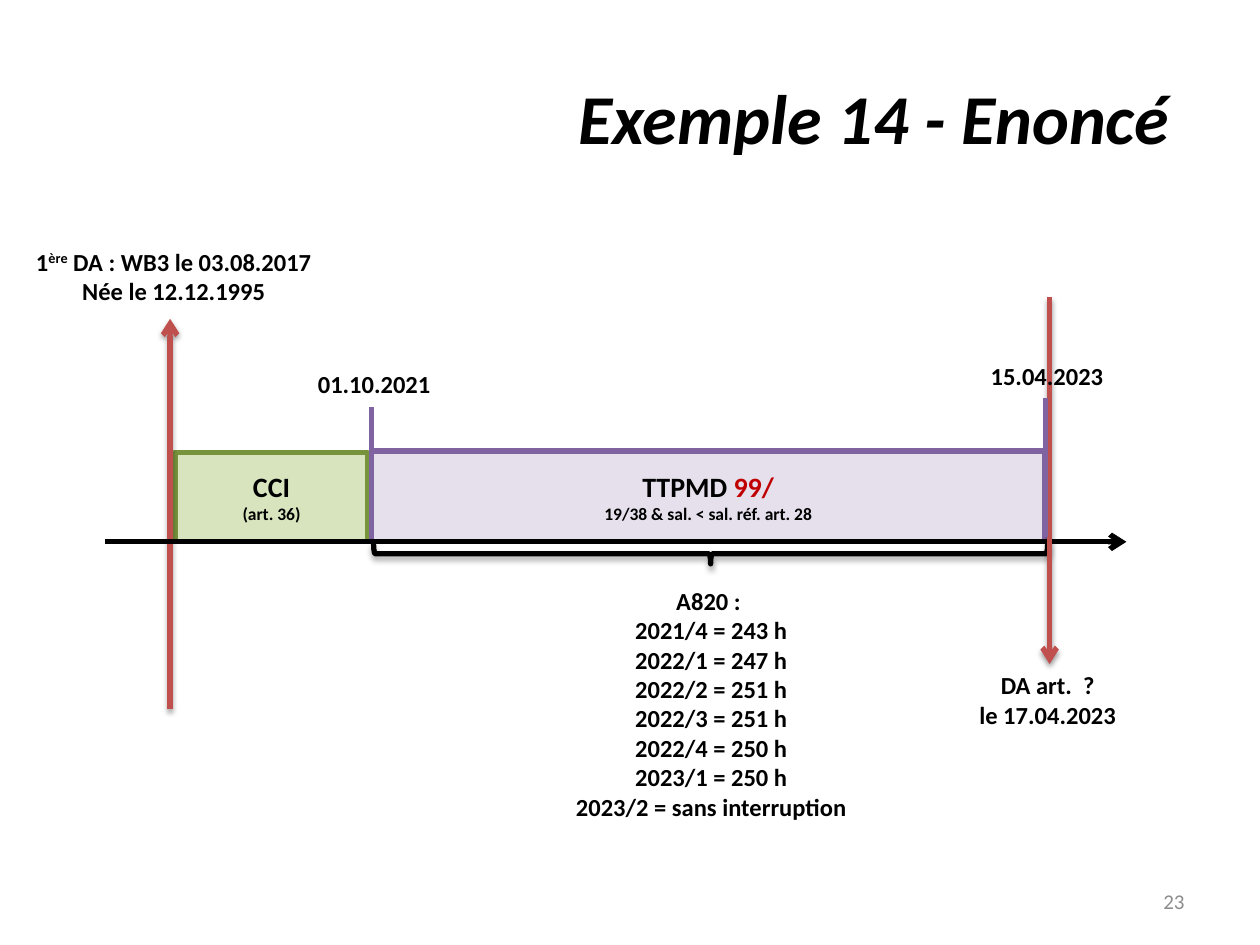
from lxml import etree
from pptx import Presentation
from pptx import util as u
from pptx.dml.color import RGBColor
from pptx.enum import shapes, text
from pptx.oxml import ns

BLACK = RGBColor(0x00, 0x00, 0x00)
GRAY = RGBColor(0x8C, 0x8C, 0x8C)
RED = RGBColor(0xC0, 0x00, 0x00)
BRICK = RGBColor(0xC0, 0x50, 0x4D)
PURPLE = RGBColor(0x80, 0x64, 0xA2)
LILAC = RGBColor(0xE6, 0xE0, 0xEC)
GREEN = RGBColor(0x77, 0x93, 0x3C)
PALE_GREEN = RGBColor(0xD7, 0xE4, 0xBD)

deck = Presentation()
deck.slide_width, deck.slide_height = u.Inches(10), u.Inches(7.5)
page = deck.slides.add_slide(deck.slide_layouts[6])


def write(box, lines, size=14, color=BLACK, bold=True, italic=False,
          align=text.PP_ALIGN.CENTER, anchor=text.MSO_ANCHOR.TOP):
    """Each line is a list of (words, overrides) spans."""
    frame = box.text_frame
    frame.word_wrap = True
    frame.vertical_anchor = anchor
    for number, spans in enumerate(lines):
        para = frame.add_paragraph() if number else frame.paragraphs[0]
        para.alignment = align
        for words, changes in spans:
            span = para.add_run()
            span.text = words
            span.font.name = "Calibri"
            span.font.size = u.Pt(changes.get("size", size))
            span.font.bold, span.font.italic = bold, italic
            span.font.color.rgb = changes.get("color", color)
            if "raised" in changes:
                span.font._element.set("baseline", changes["raised"])


def set_effects(shape, opacity=0, distance=0):
    """Replace the theme shadow with a soft one below, or with none."""
    properties = shape._element.spPr
    effects = etree.SubElement(properties, ns.qn("a:effectLst"))
    if opacity:
        shadow = etree.SubElement(
            effects, ns.qn("a:outerShdw"), blurRad=str(u.Pt(3.1)),
            dist=str(u.Pt(distance)), dir="5400000", rotWithShape="0")
        tint = etree.SubElement(shadow, ns.qn("a:srgbClr"), val=str(BLACK))
        etree.SubElement(tint, ns.qn("a:alpha"), val=str(opacity * 1000))


# Title and page number
title = page.shapes.add_textbox(u.Inches(0.5), u.Inches(0.3), u.Inches(9), u.Inches(1.25))
write(title, [[("Exemple 14 - Enoncé ", {})]], size=40, italic=True,
      align=text.PP_ALIGN.RIGHT, anchor=text.MSO_ANCHOR.MIDDLE)
page_number = page.shapes.add_textbox(u.Inches(7.17), u.Inches(6.95), u.Inches(2.33), u.Inches(0.4))
write(page_number, [[("23", {})]], size=12, color=GRAY, bold=False,
      align=text.PP_ALIGN.RIGHT, anchor=text.MSO_ANCHOR.MIDDLE)

# Periods on the timeline
periods = [
    (1.39, 3.59, 1.53, 0.71, PALE_GREEN, GREEN,
     [[("CCI", {})], [("(art. 36)", {"size": 10})]]),
    (2.95, 3.58, 5.34, 0.72, LILAC, PURPLE,
     [[("TTPMD ", {}), ("99/", {"color": RED})],
      [("19/38 & sal. < sal. réf. art. 28", {"size": 10})]]),
]
for left, top, width, height, fill, border, lines in periods:
    period = page.shapes.add_shape(
        shapes.MSO_SHAPE.RECTANGLE, u.Inches(left), u.Inches(top), u.Inches(width), u.Inches(height))
    period.fill.solid()
    period.fill.fore_color.rgb = fill
    period.line.color.rgb = border
    period.line.width = u.Pt(3)
    period.shadow.inherit = False
    write(period, lines, size=16, anchor=text.MSO_ANCHOR.MIDDLE)

# Brace under the second period
brace = page.shapes.add_shape(
    shapes.MSO_SHAPE.LEFT_BRACE, u.Inches(5.56), u.Inches(1.72), u.Inches(0.16), u.Inches(5.35))
brace.rotation = 270
brace.fill.background()
brace.line.color.rgb = BLACK
brace.line.width = u.Pt(3)
set_effects(brace, opacity=35, distance=1.8)

# Time axis, date marks and claim arrows
marks = [
    # x1, y1, x2, y2, color, arrowhead, shadow opacity
    (1.35, 5.63, 1.35, 2.53, BRICK, True, 38),
    (2.95, 3.23, 2.95, 4.32, PURPLE, False, 0),
    (0.83, 4.3, 8.94, 4.3, BLACK, True, 0),
    (8.33, 2.36, 8.33, 5.27, BRICK, True, 38),
    (8.3, 3.16, 8.3, 4.26, PURPLE, False, 0),
]
for x1, y1, x2, y2, color, arrowhead, opacity in marks:
    mark = page.shapes.add_connector(
        shapes.MSO_CONNECTOR.STRAIGHT, u.Inches(x1), u.Inches(y1), u.Inches(x2), u.Inches(y2))
    mark.line.color.rgb = color
    mark.line.width = u.Pt(3)
    if arrowhead:
        etree.SubElement(mark.line._get_or_add_ln(), ns.qn("a:tailEnd"), type="arrow")
    set_effects(mark, opacity=opacity, distance=1.6)

# Labels
hours = [("2021/4", 243), ("2022/1", 247), ("2022/2", 251),
         ("2022/3", 251), ("2022/4", 250), ("2023/1", 250)]
labels = [
    (0, 1.91, 2.76, 0.57,
     [[("1", {}), ("ère", {"raised": "30000"}), (" DA : WB3 le 03.08.2017", {})],
      [("Née le 12.12.1995", {})]]),
    (2.34, 2.88, 1.26, 0.34, [[("01.10.2021", {})]]),
    (7.68, 2.82, 1.26, 0.34, [[("15.04.2023", {})]]),
    (4.35, 4.6, 2.59, 1.99,
     [[("A820 : ", {})]]
     + [[(f"{quarter} = {count} h", {})] for quarter, count in hours]
     + [[("2023/2 = sans interruption", {})]]),
    (7.29, 5.27, 2.05, 0.57, [[("DA art.  ?", {})], [("le 17.04.2023", {})]]),
]
for left, top, width, height, lines in labels:
    label = page.shapes.add_textbox(u.Inches(left), u.Inches(top), u.Inches(width), u.Inches(height))
    write(label, lines)
    label.text_frame.auto_size = text.MSO_AUTO_SIZE.SHAPE_TO_FIT_TEXT

deck.save("out.pptx")
